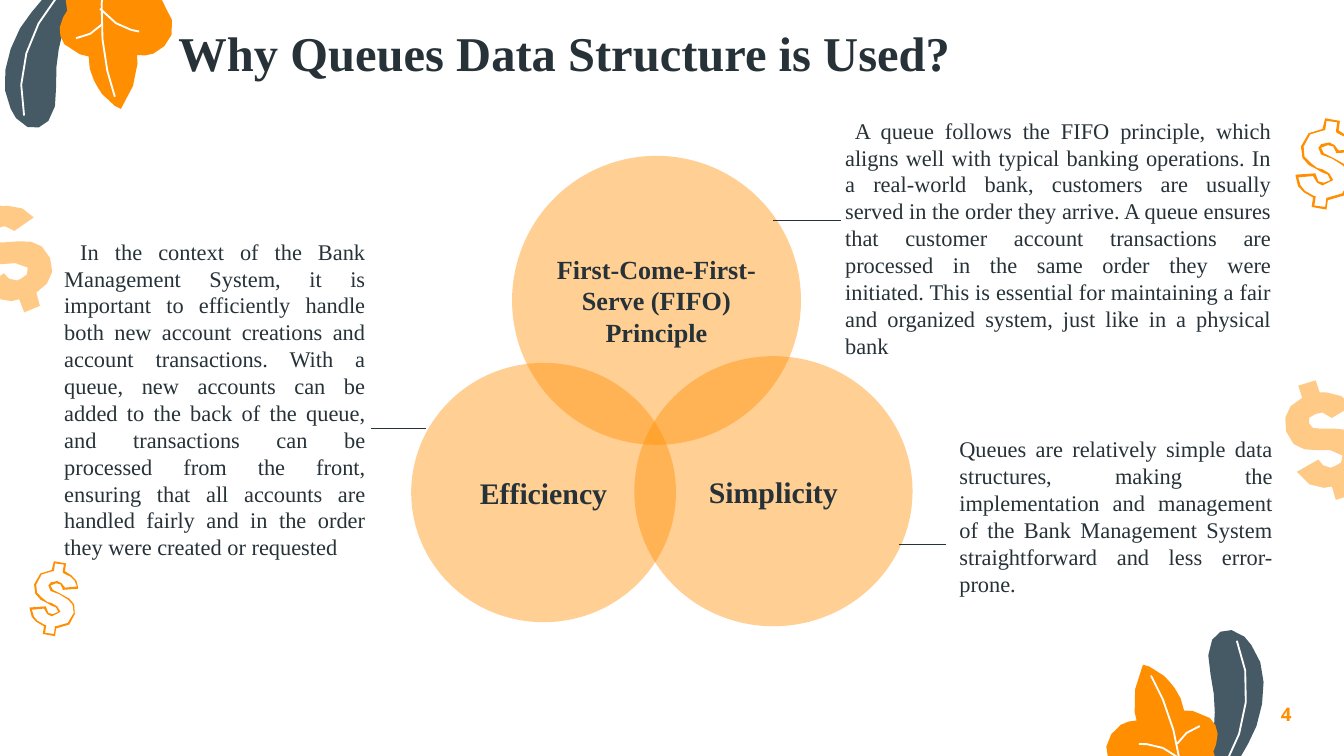
from dataclasses import dataclass
from math import cos, dist, radians, sin, sqrt

from lxml import etree
from pptx import Presentation
from pptx.dml.color import RGBColor
from pptx.enum.shapes import MSO_CONNECTOR, MSO_SHAPE
from pptx.enum.text import MSO_ANCHOR as ANCHOR, PP_ALIGN as ALIGN
from pptx.oxml.ns import qn
from pptx.util import Emu, Inches, Pt


@dataclass(frozen=True)
class Theme:
    ink: str = "263238"
    accent: str = "FF8E00"
    pale: str = "FFCA86"
    slate: str = "455A64"
    white: str = "FFFFFF"
    serif: str = "Times New Roman"
    sans: str = "Open Sans"
    title: int = 26
    body: int = 12
    label: int = 16
    long_label: int = 14
    number: int = 10
    alpha: int = 42
    rule: float = 0.75
    vein: float = 1


T = Theme()
W, H = Inches(10), Inches(5.625)
COL = W / 100  # the grid has 100 columns and equally high rows

# Outlines in tenths of a column: a start point, then lines (2 numbers) or curves (6)
LEAF = [(12, 88), (20, 98, 30, 97, 36, 90), (44, 82, 41, 64, 42, 50),
        (43, 35, 49, 6, 63, -12), (58, -21), (42, -11), (32, -2, 23, 9, 15, 21),
        (4, 41, -1, 64, 8, 81), (9, 84, 10, 86, 12, 88)]
LOBED_LEAF = [
    (76, 70), (83, 79, 90, 81, 90, 81), (93, 75, 96, 70, 99, 64), (104, 50, 102, 41, 102, 41),
    (106, 42, 110, 41, 114, 40), (123, 36, 131, 27, 128, 15), (124, 3, 115, 0, 123, -9),
    (132, -17, 139, -27, 131, -43), (129, -45, 127, -48, 126, -50),
    (118, -60, 110, -63, 110, -63), (110, -63, 49, -44, 42, -27), (40, -24, 40, -20, 40, -17),
    (41, -10, 46, -6, 49, 0), (51, 2, 51, 5, 50, 8), (49, 10, 48, 12, 47, 13),
    (44, 18, 44, 23, 45, 27), (46, 29, 47, 31, 48, 33), (55, 41, 66, 42, 66, 42),
    (66, 48, 67, 55, 70, 60), (72, 64, 74, 67, 76, 70)]
LEAF_VEINS = [[(18, 86), (9, 49, 28, 4, 60, -18)]]
LOBED_VEINS = [[(85.5, 72), (75, 44, 69, -6, 87, -55)],
               [(74.5, 6.5), (85, 21, 102, 23.5, 103.5, 23.5)],
               [(56.5, 28.5), (64, 27.5, 71, 24, 75.5, 18.5)]]
DOLLAR = [
    (979, 283), (966, 287), (969, 296), (958, 301, 954, 310, 957, 321),
    (961, 334, 970, 335, 980, 335), (984, 335, 988, 335, 990, 335),
    (994, 335, 997, 336, 999, 339), (1000, 343, 997, 346, 993, 347),
    (992, 347, 991, 348, 990, 348), (986, 348, 982, 345, 981, 342), (965, 351),
    (970, 360, 978, 363, 985, 363), (987, 363, 989, 362, 991, 362), (994, 372),
    (1006, 368), (1004, 358), (1014, 353, 1020, 344, 1016, 333),
    (1012, 321, 1003, 319, 994, 319), (993, 319, 991, 319, 989, 319),
    (987, 319, 985, 319, 983, 319), (978, 319, 975, 319, 974, 315),
    (973, 312, 974, 309, 979, 308), (981, 307, 983, 307, 984, 307),
    (987, 307, 990, 309, 991, 311), (1006, 302), (1002, 296, 995, 292, 987, 292),
    (985, 292, 984, 292, 982, 292)]
DOLLAR_INNER = [
    (995, 91), (994, 98), (995, 99), (997, 100, 999, 101, 1001, 102),
    (1004, 104, 1006, 107, 1007, 111), (996, 112), (996, 111, 995, 109, 993, 108),
    (992, 107, 991, 107, 989, 106), (983, 105, 982, 109, 981, 110),
    (981, 112, 982, 114, 983, 115), (985, 116, 987, 117, 991, 118),
    (993, 120, 996, 121, 999, 123), (1002, 125, 1005, 129, 1004, 135),
    (1002, 143, 997, 147, 988, 147), (987, 147), (986, 154), (978, 153), (979, 146),
    (978, 146), (976, 145, 974, 144, 971, 142), (969, 140, 966, 137, 966, 132),
    (977, 131), (978, 133, 979, 135, 980, 136), (982, 137, 983, 138, 984, 138),
    (988, 139, 991, 137, 992, 134), (992, 132, 991, 130, 989, 129),
    (988, 128, 986, 127, 984, 126), (983, 126, 981, 125, 980, 125),
    (978, 124, 976, 123, 975, 121), (971, 119, 969, 115, 970, 109),
    (971, 101, 977, 97, 985, 97), (986, 97), (987, 90)]
DOLLAR_OUTER = [
    (997, 90), (986, 88), (984, 96), (976, 96, 970, 100, 968, 109),
    (967, 116, 970, 120, 974, 123), (976, 124, 978, 125, 980, 126),
    (981, 127, 982, 127, 983, 128), (985, 129, 987, 129, 988, 130),
    (990, 131, 990, 132, 990, 134), (990, 137, 987, 137, 985, 136),
    (983, 136, 982, 136, 981, 135), (980, 134, 979, 132, 979, 130), (979, 129),
    (964, 130), (964, 131), (964, 137, 967, 141, 970, 143),
    (972, 145, 975, 146, 977, 147), (976, 154), (987, 156), (988, 149),
    (998, 149, 1004, 144, 1005, 136), (1006, 129, 1004, 124, 1000, 122),
    (997, 120, 994, 118, 991, 117), (988, 116, 986, 115, 985, 114),
    (983, 113, 983, 112, 983, 110), (984, 108, 986, 108, 988, 108),
    (990, 108, 991, 109, 992, 109), (994, 110, 994, 112, 994, 113), (994, 114),
    (1008, 113), (1008, 112), (1008, 107, 1006, 104, 1002, 101),
    (1000, 99, 998, 98, 996, 97)]


def grid(*cells):
    return [Emu(round(n * COL)) for n in cells]


def rgb(color):
    return RGBColor.from_string(color)


def placed(center, to=None, turn=0, scale=1):
    """Return a function that turns, scales and moves a point about center."""
    (cx, cy), (tx, ty) = center, to or center
    c, s = scale * cos(radians(turn)), scale * sin(radians(turn))
    return lambda x, y: (tx + (x - cx) * c - (y - cy) * s, ty + (x - cx) * s + (y - cy) * c)


def flatten(outline):
    """Turn curves into chords, more of them where a curve is longer."""
    pts = [outline[0]]
    for seg in outline[1:]:
        if len(seg) == 2:
            pts.append(seg)
            continue
        ctrl = [pts[-1], seg[:2], seg[2:4], seg[4:]]
        steps = max(1, round(0.45 * sqrt(sum(map(dist, ctrl, ctrl[1:])))))
        for t in (i / steps for i in range(1, steps + 1)):
            weights = ((1 - t) ** 3, 3 * t * (1 - t) ** 2, 3 * t * t * (1 - t), t ** 3)
            pts.append(tuple(sum(w * p[a] for w, p in zip(weights, ctrl)) for a in (0, 1)))
    return pts


def add_outline(s, outlines, place, fill=None, line=None):
    builder = None
    for outline in outlines:
        start, *rest = [grid(*(n / 10 for n in place(*p))) for p in flatten(outline)]
        if builder is None:
            builder = s.shapes.build_freeform(*start, scale=1.0)
        else:
            builder.move_to(*start)
        builder.add_line_segments(rest, close=fill is not None)
    sp = builder.convert_to_shape()
    sp.shadow.inherit = False
    if fill:
        sp.fill.solid()
        sp.fill.fore_color.rgb = rgb(fill)
        sp.line.fill.background()
    else:
        sp.fill.background()
        sp.line.color.rgb = rgb(line)
        sp.line.width = Pt(T.vein)


def add_leaves(s, place):
    for leaf, color, veins in ((LEAF, T.slate, LEAF_VEINS),
                               (LOBED_LEAF, T.accent, LOBED_VEINS)):
        add_outline(s, [leaf], place, fill=color)
        for vein in veins:
            add_outline(s, [vein], place, line=T.white)


def write(sp, text, size, color=T.ink, font=T.serif, bold=False, align=ALIGN.LEFT,
          anchor=ANCHOR.TOP, pad=(1, 1)):
    tf = sp.text_frame
    tf.word_wrap = True
    tf.vertical_anchor = anchor
    tf.margin_left, tf.margin_top = tf.margin_right, tf.margin_bottom = grid(*pad)
    p = tf.paragraphs[0]
    p.text, p.alignment = text, align
    f = p.font
    f.name, f.size, f.bold, f.color.rgb = font, Pt(size), bold, rgb(color)


def add_text(s, box, text, size, **style):
    write(s.shapes.add_textbox(*grid(*box)), text, size, **style)


def add_circle(s, box, text, size):
    sp = s.shapes.add_shape(MSO_SHAPE.OVAL, *grid(*box))
    sp.shadow.inherit = False
    sp.fill.solid()
    sp.fill.fore_color.rgb = rgb(T.accent)
    color = sp._element.spPr.find(".//" + qn("a:srgbClr"))
    etree.SubElement(color, qn("a:alpha")).set("val", str(T.alpha * 1000))
    sp.line.fill.background()
    write(sp, text, size, bold=True, align=ALIGN.CENTER, anchor=ANCHOR.MIDDLE, pad=(0, 1))


def add_rule(s, x1, x2, y):
    ln = s.shapes.add_connector(MSO_CONNECTOR.STRAIGHT, *grid(x1, y, x2, y))
    ln.line.color.rgb = rgb(T.ink)
    ln.line.width = Pt(T.rule)
    etree.SubElement(ln._element.spPr, qn("a:effectLst"))


def main():
    prs = Presentation()
    prs.slide_width, prs.slide_height = W, H
    s = prs.slides.add_slide(prs.slide_layouts[6])

    # Corner leaves and dollar signs
    leaves, ring, solid = (40, 39.5), (987, 122), (987, 327.5)
    add_leaves(s, placed(leaves))
    add_leaves(s, placed(leaves, (907, 526.5), turn=169.7))
    for place in (placed(ring), placed(ring, (41, 445.5), scale=0.82)):
        add_outline(s, [DOLLAR_INNER, DOLLAR_OUTER], place, fill=T.accent)
    for place in (placed(solid), placed(solid, (8, 188.5), turn=-4)):
        add_outline(s, [DOLLAR], place, fill=T.pale)

    # Title and explanations
    add_text(s, (12.3, 0.7, 70.6, 5.4), "Why Queues Data Structure is Used?", T.title, bold=True)
    for box, text in (
        ((3.8, 17.2, 24.4, 29.9),
         " In the context of the Bank Management System, it is important to efficiently handle "
         "both new account creations and account transactions. With a queue, new accounts can be "
         "added to the back of the queue, and transactions can be processed from the front, "
         "ensuring that all accounts are handled fairly and in the order they were created or "
         "requested"),
        ((70.4, 31.9, 25.3, 19.1),
         "Queues are relatively simple data structures, making the implementation and management "
         "of the Bank Management System straightforward and less error-prone."),
        ((61.9, 8.2, 33.7, 20.1),
         " A queue follows the FIFO principle, which aligns well with typical banking operations. "
         "In a real-world bank, customers are usually served in the order they arrive. A queue "
         "ensures that customer account transactions are processed in the same order they were "
         "initiated. This is essential for maintaining a fair and organized system, just like in "
         "a physical bank"),
    ):
        add_text(s, box, text, T.body, align=ALIGN.JUSTIFY, pad=(1, 0.5))

    # Overlapping circles and their leader lines
    add_circle(s, (38.1, 11.6, 21.5, 21.5), "First-Come-First-Serve (FIFO) Principle",
               T.long_label)
    add_circle(s, (47.2, 26.5, 20.7, 20.1), "Simplicity", T.label)
    add_circle(s, (30.6, 27, 19.7, 19.3), "Efficiency", T.label)
    for x1, x2, y in ((57.5, 62.6, 16.4), (31.7, 27.6, 31.9), (66.9, 70.4, 40.5)):
        add_rule(s, x1, x2, y)

    # Slide number
    add_text(s, (92.7, 51, 6, 4.3), "4", T.number, color=T.accent, font=T.sans, bold=True,
             align=ALIGN.CENTER, anchor=ANCHOR.MIDDLE)

    prs.save("out.pptx")


if __name__ == "__main__":
    main()
